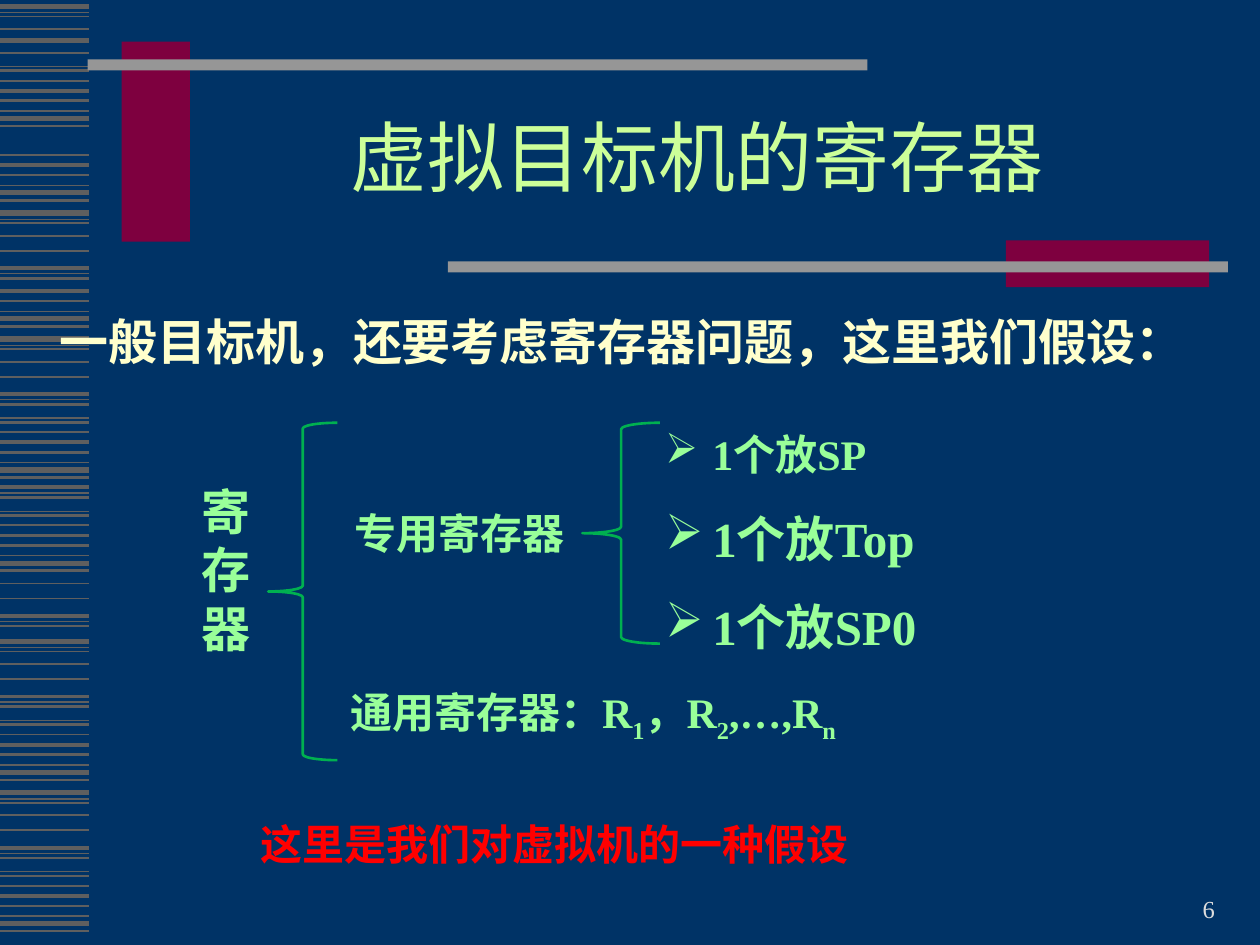
from dataclasses import dataclass
from typing import NamedTuple

from lxml.etree import SubElement
from pptx import Presentation
from pptx.dml.color import RGBColor
from pptx.enum.shapes import MSO_CONNECTOR as Link, MSO_SHAPE as Shape
from pptx.enum.text import MSO_ANCHOR as Anchor, PP_ALIGN as Align
from pptx.oxml.ns import qn
from pptx.util import Pt

NAVY = RGBColor(0x00, 0x33, 0x66)
STRIPE = RGBColor(0x5F, 0x5F, 0x5F)
WINE = RGBColor(0x7E, 0x00, 0x3F)
GREY = RGBColor(0x96, 0x96, 0x96)
PALE = RGBColor(0xDD, 0xDD, 0xDD)
LIME = RGBColor(0xCC, 0xFF, 0x99)
CREAM = RGBColor(0xFF, 0xFF, 0xCC)
MINT = RGBColor(0x99, 0xFF, 0x99)
GREEN = RGBColor(0x00, 0xB0, 0x50)
RED = RGBColor(0xFF, 0x00, 0x00)
SERIF = "Times New Roman"
SANS = "Noto Sans CJK SC"


class Box(NamedTuple):
    left: float
    top: float
    width: float
    height: float


class Bar(NamedTuple):
    box: Box
    color: RGBColor


class Band(NamedTuple):
    """Part of a stripe pattern, shifted down to top."""
    top: float
    lines: list


@dataclass
class Para:
    text: str
    size: float
    subs: str = ""  # characters set as subscripts


@dataclass
class Label:
    box: Box
    paras: list[Para]
    color: RGBColor
    bold: bool = True
    font: str = SERIF
    align: Align = Align.LEFT
    anchor: Anchor = Anchor.TOP
    space: float = 1
    indent: float = 0
    bullet: str = ""


# Stripe patterns: (offset, line width)
SHORT = [(-21.6, 1), (-15.8, 2.25), (-10.1, 1.5), (-4.3, 0.75), (0, 3), (4.3, 1.5)]
LONG = [(0, 3), (3.6, 0.75), (5.8, 1), (13, 1), (21.6, 1), (31.5, 2.25),
        (34.7, 0.75), (37.4, 1.5), (45.2, 0.75), (47.6, 1.5)]
BANDS = [
    Band(-7.2, LONG[7:]), Band(3.6, LONG[:4]), Band(23, LONG[:1]),
    Band(67.7, SHORT), Band(110.2, SHORT), Band(121.7, LONG[:8]),
    Band(182.2, SHORT[1:]), Band(193.7, LONG), Band(247, LONG[5:]),
    Band(268.6, SHORT), Band(320.4, LONG[3:8]), Band(321.8, SHORT),
    Band(366.5, LONG), Band(441.4, SHORT), Band(452.9, LONG),
    Band(527.8, SHORT),
]
BARS = [
    Bar(Box(69.6, 23.8, 39, 114.3), WINE),
    Bar(Box(50, 34, 445.7, 6.2), GREY),
    Bar(Box(574.8, 137.3, 116.2, 26.8), WINE),
    Bar(Box(256, 149.4, 445.7, 6.2), GREY),
]
BRACES = [Box(153.2, 241.6, 39.6, 192.8), Box(332.8, 241.6, 44.3, 126.2)]
LABELS = [
    Label(Box(528.5, 495.4, 172.8, 36), [Para("6", 14)], PALE, False,
          align=Align.RIGHT, anchor=Anchor.BOTTOM),
    Label(Box(108, 48.2, 581, 90), [Para("虚拟目标机的寄存器", 44)], LIME, False,
          align=Align.CENTER, anchor=Anchor.MIDDLE, space=0.85),
    Label(Box(7.9, 174.2, 714, 72.7),
          [Para("一般目标机，还要考虑寄存器问题，这里我们假设：", 28)],
          CREAM, font=SANS, indent=19),
    Label(Box(108, 271.4, 33.8, 108), [Para("寄存器", 28)], MINT),
    Label(Box(195.8, 286.6, 141, 36), [Para("专用寄存器", 24)], MINT),
    Label(Box(193, 388.8, 427.7, 40),
          [Para("通用寄存器：R1，R2,…,Rn", 24, "12n")], MINT),
    Label(Box(373, 226.8, 185.8, 151.2),
          [Para("1个放SP", 24), Para("1个放Top", 28), Para("1个放SP0", 28)],
          MINT, space=1.5, bullet="➢"),
    Label(Box(141.8, 464.4, 427.7, 36),
          [Para("这里是我们对虚拟机的一种假设", 24)], RED),
]


def place(box: Box) -> list:
    return [Pt(n) for n in box]


def draw_band(slide, band: Band) -> None:
    for off, width in band.lines:
        y = Pt(band.top + off)
        line = slide.shapes.add_connector(Link.STRAIGHT, 0, y, Pt(51), y)
        line.line.color.rgb = STRIPE
        line.line.width = Pt(width)
        SubElement(line._element.spPr, qn("a:effectLst"))


def draw_bar(slide, bar: Bar) -> None:
    shape = slide.shapes.add_shape(Shape.RECTANGLE, *place(bar.box))
    shape.shadow.inherit = False
    shape.fill.solid()
    shape.fill.fore_color.rgb = bar.color
    shape.line.fill.background()


def draw_brace(slide, box: Box) -> None:
    shape = slide.shapes.add_shape(Shape.LEFT_BRACE, *place(box))
    shape.shadow.inherit = False
    shape.fill.background()
    shape.line.color.rgb = GREEN
    shape.line.width = Pt(1.5)


def set_indent(para, label: Label) -> None:
    """Set the first-line indent, or a hanging bullet."""
    props = para._p.get_or_add_pPr()
    if label.bullet:
        props.set("marL", str(Pt(27)))
        props.set("indent", str(Pt(-27)))
        color = SubElement(props, qn("a:buClr"))
        SubElement(color, qn("a:srgbClr"), val=str(label.color))
        SubElement(props, qn("a:buChar"), char=label.bullet)
    elif label.indent:
        props.set("indent", str(Pt(label.indent)))


def add_runs(para, item: Para) -> None:
    """Split the text at its subscripts."""
    plain = ""
    for char in item.text:
        if char in item.subs:
            para.add_run().text = plain
            run = para.add_run()
            run.text = char
            run._r.get_or_add_rPr().set("baseline", "-25000")
            plain = ""
        else:
            plain += char
    if plain:
        para.add_run().text = plain


def draw_label(slide, label: Label) -> None:
    frame = slide.shapes.add_textbox(*place(label.box)).text_frame
    frame.word_wrap = True
    frame.vertical_anchor = label.anchor
    for i, item in enumerate(label.paras):
        para = frame.add_paragraph() if i else frame.paragraphs[0]
        set_indent(para, label)
        para.alignment = label.align
        para.line_spacing = label.space
        add_runs(para, item)
        font = para.font
        font.size = Pt(item.size)
        font.bold = label.bold
        font.color.rgb = label.color
        font.name = label.font
        base = para._p.pPr.find(qn("a:defRPr"))
        SubElement(base, qn("a:ea"), typeface=SANS)


def main() -> None:
    deck = Presentation()
    deck.slide_width, deck.slide_height = Pt(720), Pt(540)
    slide = deck.slides.add_slide(deck.slide_layouts[6])
    fill = slide.background.fill
    fill.solid()
    fill.fore_color.rgb = NAVY
    for draw, items in ((draw_band, BANDS), (draw_bar, BARS),
                        (draw_brace, BRACES), (draw_label, LABELS)):
        for item in items:
            draw(slide, item)
    deck.save("out.pptx")


if __name__ == "__main__":
    main()
